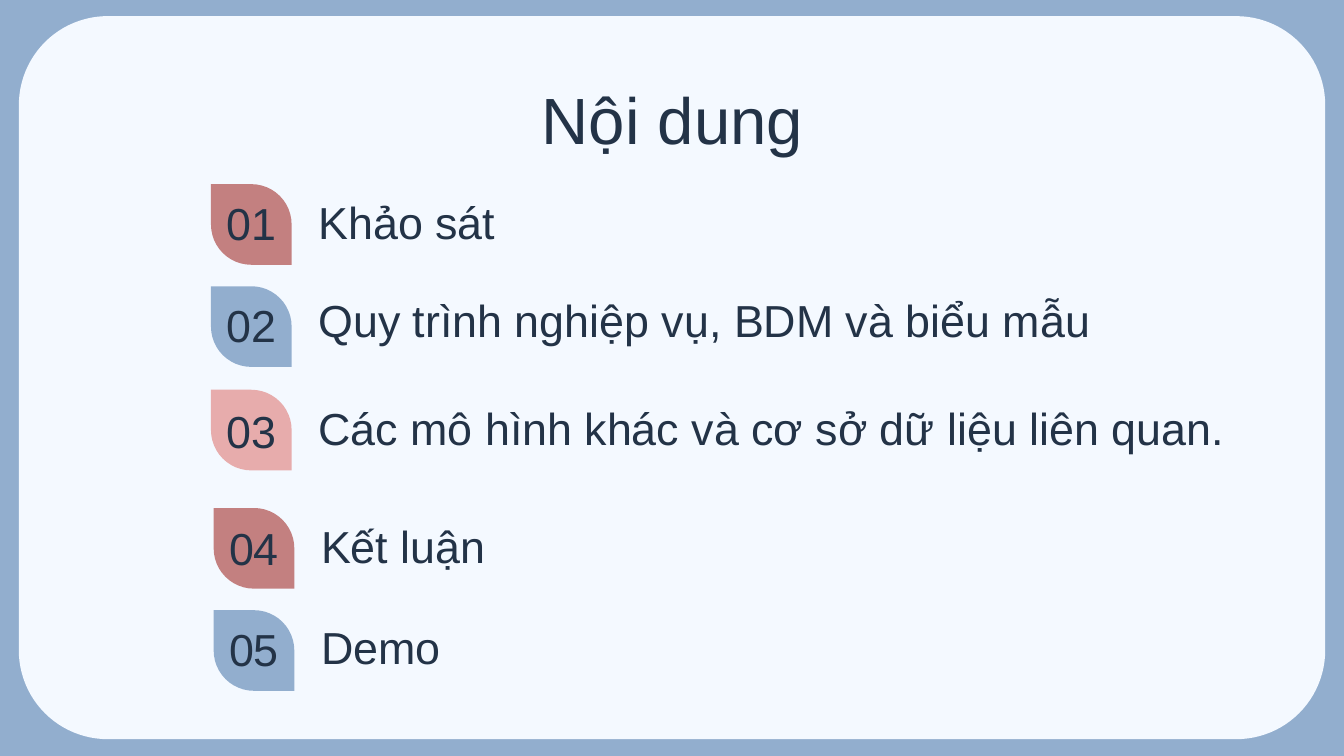
import pptx
import pptx.dml.color
import pptx.enum.shapes
import pptx.enum.text
import pptx.util

Inches = pptx.util.Inches
Align = pptx.enum.text.PP_ALIGN
Anchor = pptx.enum.text.MSO_ANCHOR
Preset = pptx.enum.shapes.MSO_SHAPE

BLUE, ROSE, PINK = "92AECE", "C38080", "E7ACAC"


def color(value):
    return pptx.dml.color.RGBColor.from_string(value)


class AgendaSlide:
    font = "Arial"
    ink = "233347"
    panel = "F4F9FF"

    def __init__(self, deck):
        self.slide = deck.slides.add_slide(deck.slide_layouts[6])

    def background(self, fill):
        self.slide.background.fill.solid()
        self.slide.background.fill.fore_color.rgb = color(fill)

    def shape(self, preset, left, top, width, height, fill, adjustments):
        shape = self.slide.shapes.add_shape(
            preset, Inches(left), Inches(top), Inches(width), Inches(height))
        for index, value in enumerate(adjustments):
            shape.adjustments[index] = value
        shape.fill.solid()
        shape.fill.fore_color.rgb = color(fill)
        shape.line.fill.background()
        shape.shadow.inherit = False
        return shape

    def text(self, words, left, top, width, height, size=24,
             align=Align.LEFT, anchor=Anchor.MIDDLE, spacing=1.0):
        box = self.slide.shapes.add_textbox(
            Inches(left), Inches(top), Inches(width), Inches(height))
        frame = box.text_frame
        frame.word_wrap = True
        frame.vertical_anchor = anchor
        frame.margin_left = frame.margin_right = Inches(0.1)
        frame.margin_top = frame.margin_bottom = Inches(0.1)
        frame.text = words
        para = frame.paragraphs[0]
        para.alignment = align
        para.line_spacing = spacing
        font = para.runs[0].font
        font.name = self.font
        font.size = pptx.util.Pt(size)
        font.color.rgb = color(self.ink)

    def badge(self, number, left, top, number_top, fill):
        leaf = self.shape(Preset.ROUND_2_DIAG_RECTANGLE,
                          left, top, 0.6, 0.6, fill, [0.5, 0])
        leaf.rotation = 270
        self.text(f"{number:02d}", left - 0.1, number_top, 0.8, 0.49,
                  align=Align.CENTER)

    def caption(self, words, left, top, width, height):
        self.text(words, left, top, width, height,
                  anchor=Anchor.BOTTOM, spacing=1.15)


def main():
    # Widescreen page, 16 by 9
    deck = pptx.Presentation()
    deck.slide_width = Inches(10)
    deck.slide_height = deck.slide_width * 9 // 16
    agenda = AgendaSlide(deck)

    # Backdrop and heading
    agenda.background(BLUE)
    agenda.shape(Preset.ROUNDED_RECTANGLE, 0.14, 0.12, 9.72, 5.38,
                 agenda.panel, [0.123])
    agenda.text("Nội dung", 0.79, 0.49, 8.43, 0.63, size=35,
                align=Align.CENTER, anchor=Anchor.TOP)

    # Agenda: words, fill, badge left, badge top, number top,
    # caption top, caption width, caption height
    items = [
        ("Khảo sát", ROSE, 1.57, 1.37, 1.41, 1.42, 2.91, 0.53),
        ("Quy trình nghiệp vụ, BDM và biểu mẫu", BLUE,
         1.57, 2.13, 2.17, 2.12, 6.38, 0.56),
        ("Các mô hình khác và cơ sở dữ liệu liên quan.", PINK,
         1.57, 2.9, 2.96, 2.96, 7.01, 0.52),
        ("Kết luận", ROSE, 1.59, 3.78, 3.83, 3.8, 2.91, 0.56),
        ("Demo", BLUE, 1.59, 4.54, 4.58, 4.56, 2.78, 0.55),
    ]
    for number, item in enumerate(items, start=1):
        words, fill, left, top, number_top, caption_top, width, height = item
        agenda.badge(number, left, top, number_top, fill)
        agenda.caption(words, left + 0.7, caption_top, width, height)

    deck.save("out.pptx")


if __name__ == "__main__":
    main()
